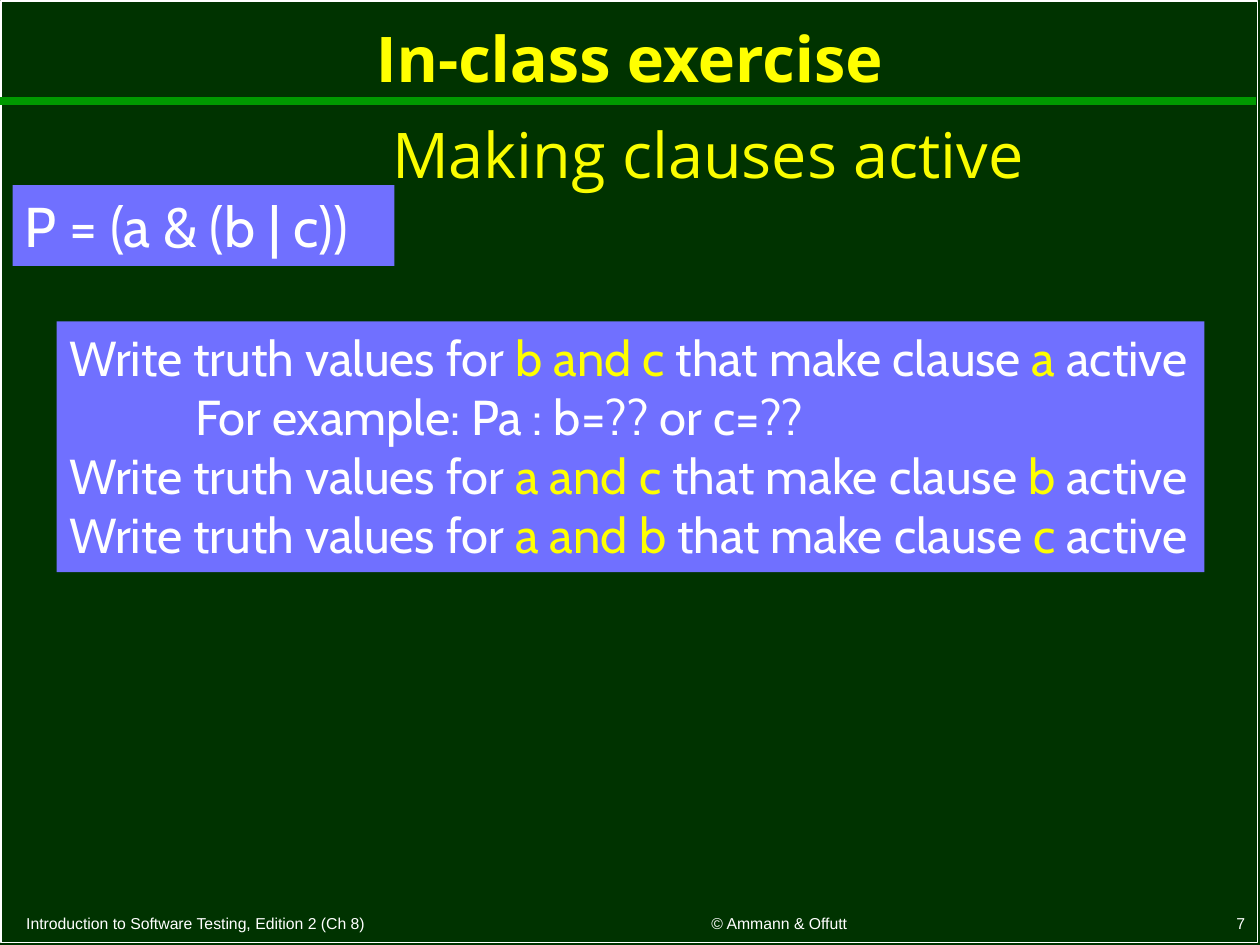
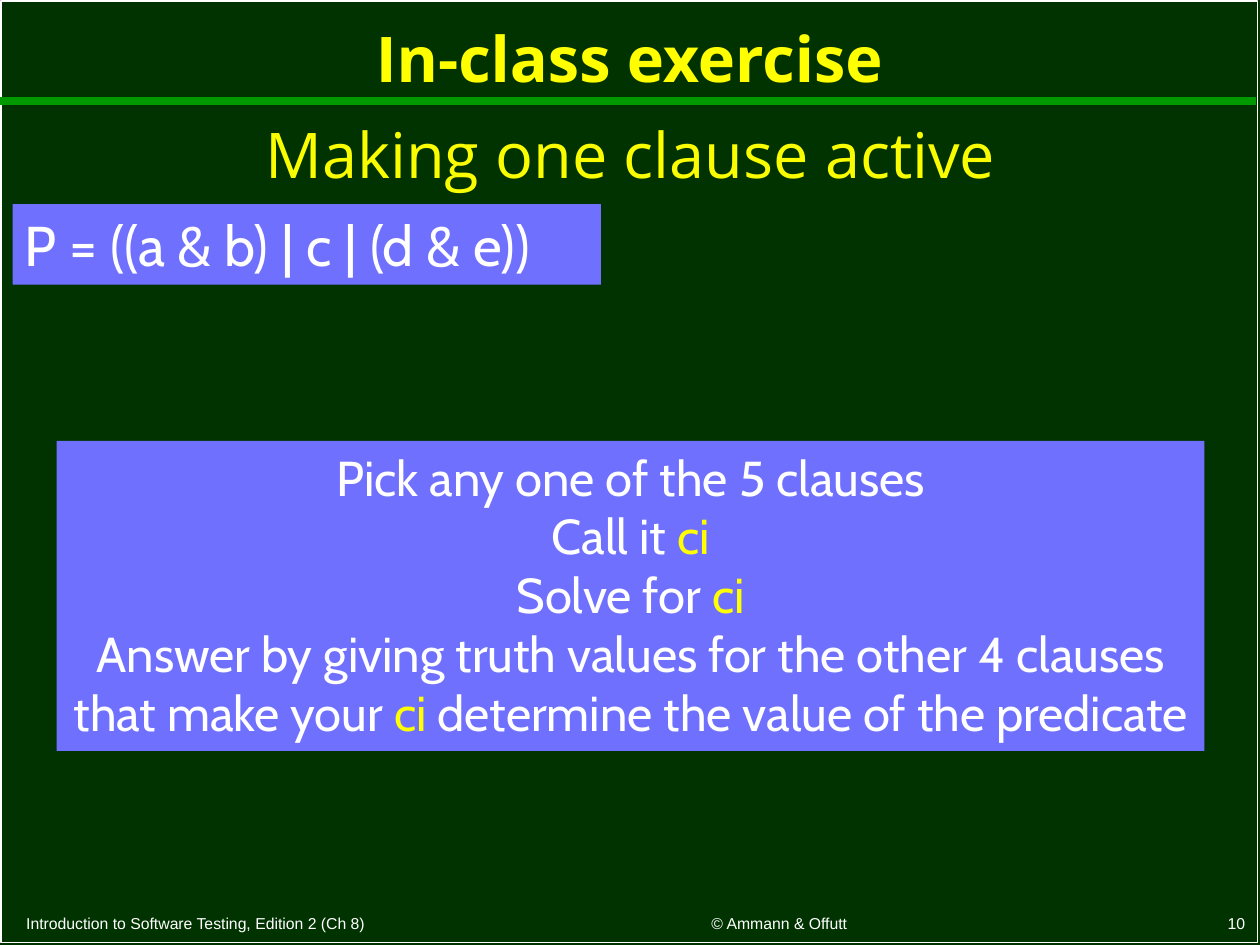
from lxml.etree import SubElement
from pptx import Presentation
from pptx.dml.color import RGBColor
from pptx.enum.shapes import MSO_CONNECTOR, MSO_SHAPE
from pptx.enum.text import MSO_ANCHOR, PP_ALIGN
from pptx.oxml.ns import qn
from pptx.util import Inches, Pt

COLORS = {
    "background": "003300",
    "rule": "009900",
    "panel": "7070FF",
    "white": "FFFFFF",
    "yellow": "FFFF00",
    "subtitle": "FAFD00",
}

TITLE = "In-class exercise"
FOOTERS = [
    ("Introduction to Software Testing, Edition 2 (Ch 8)", (0.11, 7.2, 4.27, 0.25), PP_ALIGN.LEFT),
    ("© Ammann & Offutt", (4.6, 7.19, 3.17, 0.26), PP_ALIGN.CENTER),
]
NUMBER_AREA = (7.9, 7.19, 2.08, 0.26)

EXERCISES = [
    {
        "number": "7",
        "subtitle": ("Making clauses active", (2.77, 0.87, 5.7, 0.71)),
        "predicate": ("P = (a & (b | c))", (0.1, 1.47, 3.03, 0.64)),
        "task_area": (0.45, 2.55, 9.11, 1.99),
        "task_align": PP_ALIGN.LEFT,
        "task": [
            (0, "Write truth values for *b and c* that make clause *a* active"),
            (1, "For example: Pa : b=?? or c=??"),
            (0, "Write truth values for *a and c* that make clause *b* active"),
            (0, "Write truth values for *a and b* that make clause *c* active"),
        ],
    },
    {
        "number": "10",
        "subtitle": ("Making one clause active", (1.73, 0.87, 6.55, 0.71)),
        "predicate": ("P = ((a & b) | c | (d & e))", (0.1, 1.62, 4.67, 0.64)),
        "task_area": (0.45, 3.5, 9.11, 2.46),
        "task_align": PP_ALIGN.CENTER,
        "task": [
            (0, "Pick any one of the 5 clauses"),
            (0, "Call it *ci*"),
            (0, "Solve for *ci*"),
            (0, "Answer by giving truth values for the other 4 clauses "
                "that make your *ci* determine the value of the predicate"),
        ],
    },
]

FONTS = {
    "title": ({"name": "Open Sans", "size": Pt(36), "bold": True}, "yellow"),
    "subtitle": ({"name": "Open Sans", "size": Pt(36), "bold": False}, "subtitle"),
    "predicate": ({"name": "Cabin", "size": Pt(32), "bold": False}, "white"),
    "task": ({"name": "Cabin", "size": Pt(28), "bold": False}, "white"),
    "footer": ({"name": "Arial", "size": Pt(9), "bold": False}, "white"),
}
FRAME_FORMAT = {
    "word_wrap": True,
    "margin_left": Inches(0.1),
    "margin_right": Inches(0.1),
    "margin_top": Inches(0.05),
    "margin_bottom": Inches(0.05),
}


def color(name):
    return RGBColor.from_string(COLORS[name])


def set_all(target, values):
    for name, value in values.items():
        setattr(target, name, value)


def inches(area):
    return [Inches(length) for length in area]


def write(box, lines, style, align, anchor=MSO_ANCHOR.TOP):
    frame = box.text_frame
    set_all(frame, {**FRAME_FORMAT, "vertical_anchor": anchor})
    font_format, font_color = FONTS[style]
    for index, (level, line) in enumerate(lines):
        para = frame.add_paragraph() if index else frame.paragraphs[0]
        para.alignment = align
        if level:
            para._p.get_or_add_pPr().set("marL", str(Inches(level)))
        for position, text in enumerate(line.split("*")):
            if text:
                span = para.add_run()
                span.text = text
                set_all(span.font, font_format)
                span.font.color.rgb = color("yellow" if position % 2 else font_color)


def add_text(page, text, area, style, align, anchor=MSO_ANCHOR.TOP):
    box = page.shapes.add_textbox(*inches(area))
    write(box, [(0, text)], style, align, anchor)


def add_rectangle(page, area):
    box = page.shapes.add_shape(MSO_SHAPE.RECTANGLE, *inches(area))
    box.shadow.inherit = False
    return box


def add_panel(page, lines, area, style, align):
    panel = add_rectangle(page, area)
    panel.fill.solid()
    panel.fill.fore_color.rgb = color("panel")
    panel.line.fill.background()
    write(panel, lines, style, align)


def add_furniture(page, number):
    border = add_rectangle(page, (0.01, 0.01, 9.97, 7.47))
    border.fill.background()
    border.line.color.rgb = color("white")
    border.line.width = Pt(1)

    rule = page.shapes.add_connector(MSO_CONNECTOR.STRAIGHT, *inches((0, 0.8, 9.97, 0.8)))
    rule.line.color.rgb = color("rule")
    rule.line.width = Pt(4.5)
    SubElement(rule._element.spPr, qn("a:effectLst"))

    title = page.shapes.title
    title.left, title.top, title.width, title.height = inches((0.1, 0.05, 9.79, 0.88))
    write(title, [(0, TITLE)], "title", PP_ALIGN.CENTER, MSO_ANCHOR.MIDDLE)
    title.text_frame.paragraphs[0].line_spacing = 0.9

    for text, area, align in FOOTERS + [(number, NUMBER_AREA, PP_ALIGN.RIGHT)]:
        add_text(page, text, area, "footer", align, MSO_ANCHOR.BOTTOM)


def add_exercise(deck, exercise):
    page = deck.slides.add_slide(deck.slide_layouts.get_by_name("Title Only"))
    add_furniture(page, exercise["number"])
    add_text(page, *exercise["subtitle"], "subtitle", PP_ALIGN.CENTER)
    add_panel(page, exercise["task"], exercise["task_area"], "task", exercise["task_align"])
    predicate, area = exercise["predicate"]
    add_panel(page, [(0, predicate)], area, "predicate", PP_ALIGN.LEFT)


def main():
    deck = Presentation()
    deck.slide_width, deck.slide_height = Inches(10), Inches(7.5)
    backdrop = deck.slide_master.background.fill
    backdrop.solid()
    backdrop.fore_color.rgb = color("background")
    for exercise in EXERCISES:
        add_exercise(deck, exercise)
    deck.save("out.pptx")


if __name__ == "__main__":
    main()
